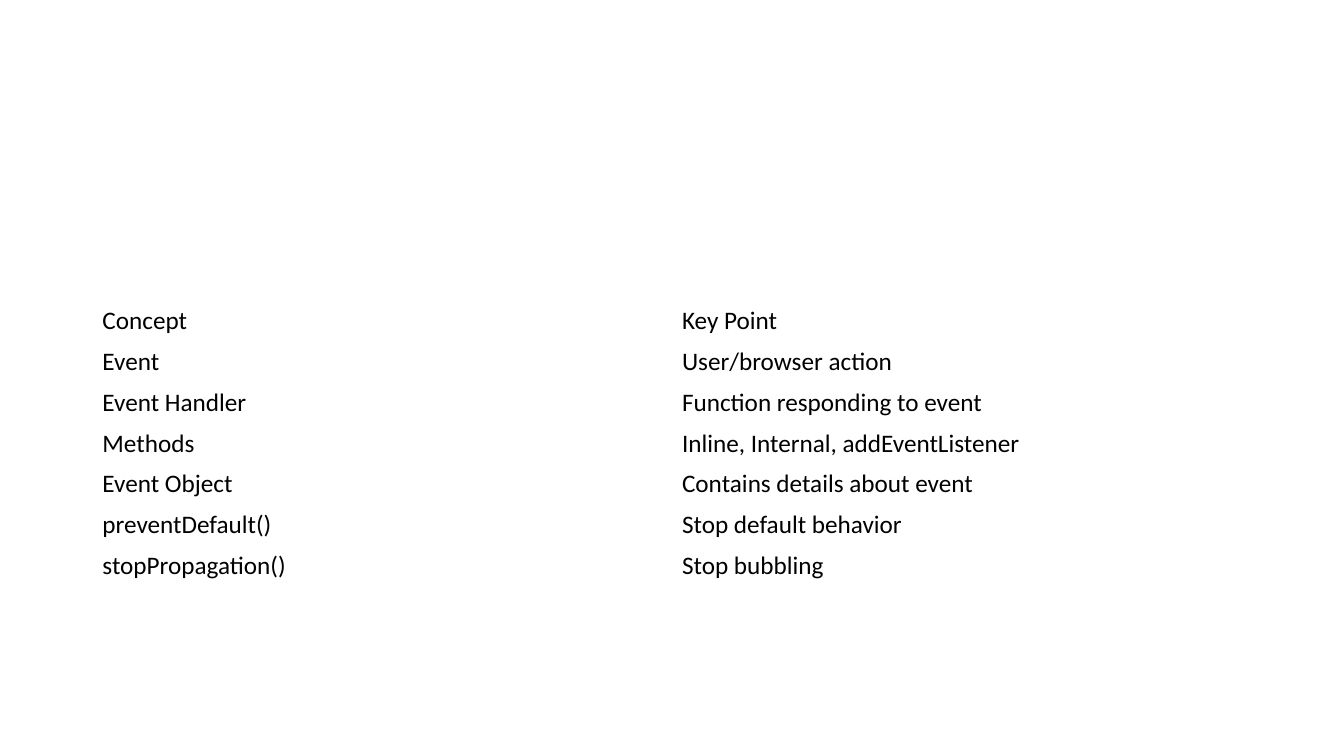
from pptx import Presentation
from pptx.dml.color import RGBColor
from pptx.enum.text import MSO_ANCHOR
from pptx.util import Pt

MIDDLE = MSO_ANCHOR.MIDDLE
ROW_HEIGHT = 29.16
COLUMN_WIDTH = 414

CONCEPTS = [
    ("Concept", "Key Point"),
    ("Event", "User/browser action"),
    ("Event Handler", "Function responding to event"),
    ("Methods", "Inline, Internal, addEventListener"),
    ("Event Object", "Contains details about event"),
    ("preventDefault()", "Stop default behavior"),
    ("stopPropagation()", "Stop bubbling"),
]


def rgb(color):
    return RGBColor.from_string(color)


def write(cell, text, size=18, font="Calibri", color="000000", bold=False):
    cell.vertical_anchor = MIDDLE
    r = cell.text_frame.paragraphs[0].add_run()
    r.text = text
    r.font.size = Pt(size)
    r.font.name = font
    r.font.bold = bold
    r.font.color.rgb = rgb(color)


prs = Presentation()
prs.slide_width, prs.slide_height = Pt(960), Pt(540)
s = prs.slides.add_slide(prs.slide_layouts[6])

# Summary table, without banding or header style
table = s.shapes.add_table(
    len(CONCEPTS), 2, Pt(66), Pt(214.5),
    Pt(2 * COLUMN_WIDTH), Pt(len(CONCEPTS) * ROW_HEIGHT)).table
table.first_row = False
table.horz_banding = False
for column in table.columns:
    column.width = Pt(COLUMN_WIDTH)

# Concepts and their key points
for row, texts in enumerate(CONCEPTS):
    table.rows[row].height = Pt(ROW_HEIGHT)
    for col, text in enumerate(texts):
        cell = table.cell(row, col)
        cell.fill.solid()
        cell.fill.fore_color.rgb = rgb("FFFFFF")
        write(cell, text)

prs.save("out.pptx")
